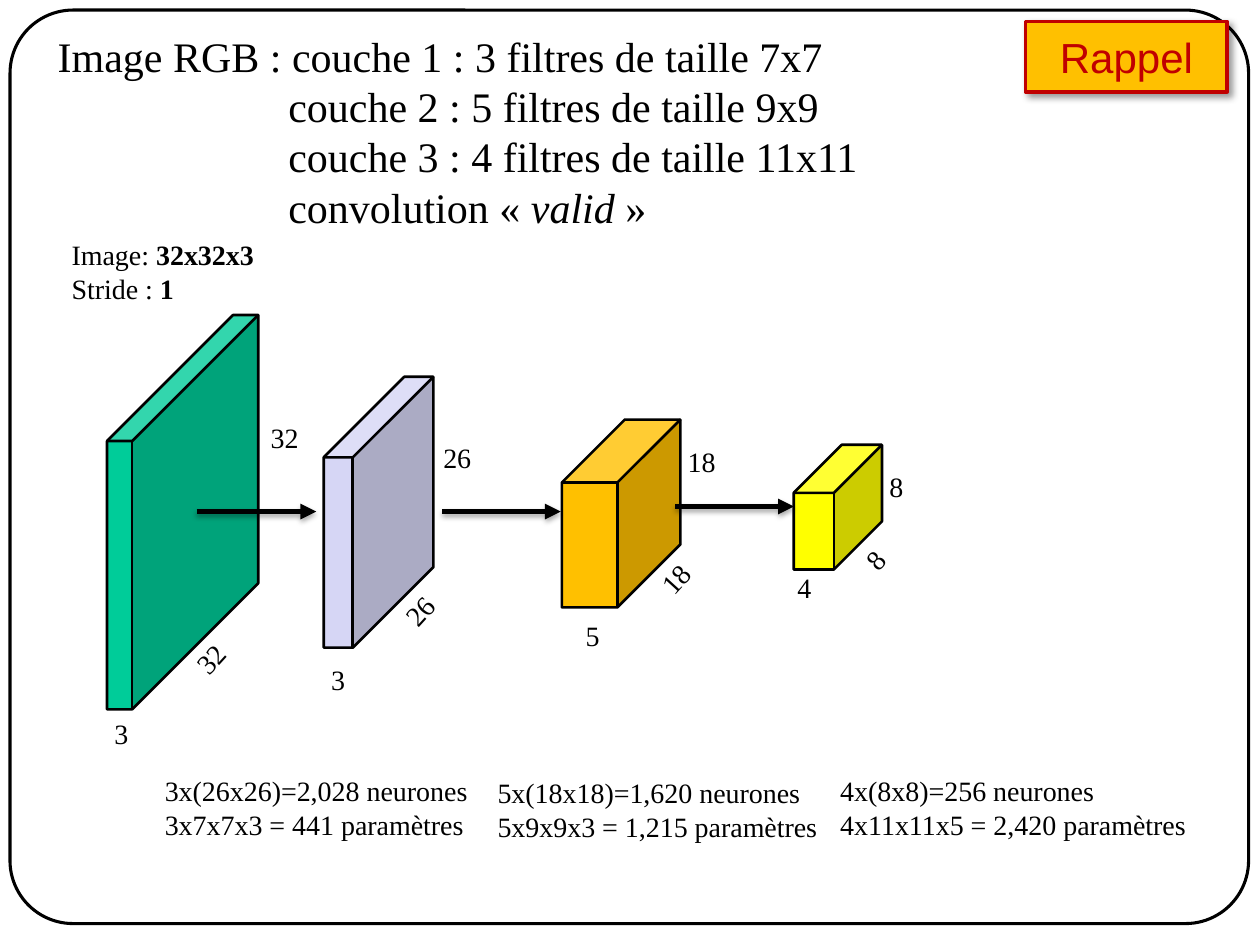
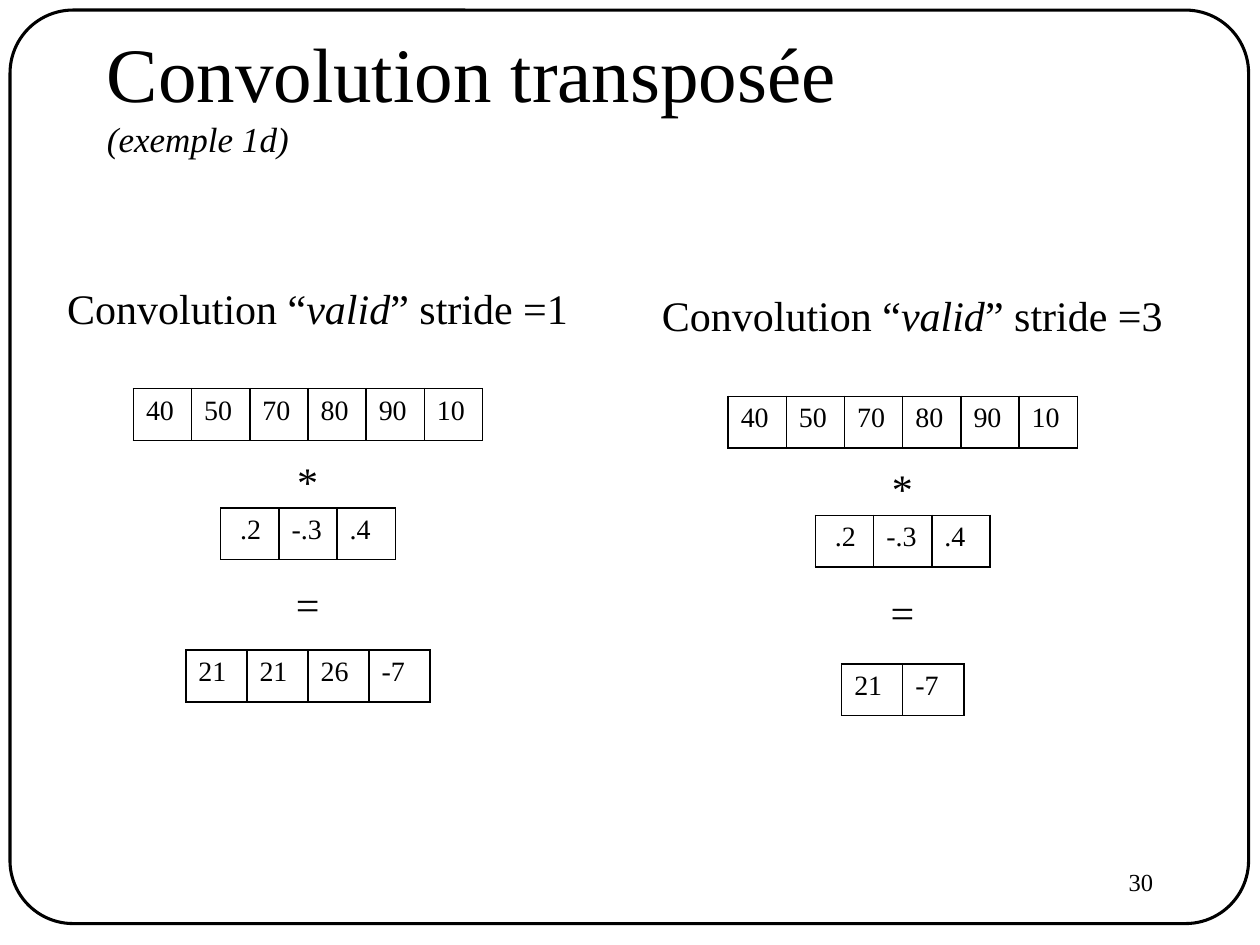
from dataclasses import dataclass
from lxml import etree
from pptx import Presentation, util as u
from pptx.dml.color import RGBColor
from pptx.enum import shapes, text
from pptx.oxml import ns


@dataclass(frozen=True)
class Theme:
    serif: str = "Times New Roman"
    sans: str = "Arial"
    black: str = "000000"
    red: str = "C00000"
    amber: str = "FFC000"
    green: str = "00CC99"
    lilac: str = "D6D6F5"
    yellow: str = "FFFF00"
    title: int = 44
    heading: int = 24
    subtitle: int = 20
    label: int = 16
    number: int = 14


T = Theme()
KIND = shapes.MSO_SHAPE
prs = Presentation()
prs.slide_width, prs.slide_height = u.Inches(10), u.Inches(7.5)
COL, ROW = prs.slide_width / 100, prs.slide_height / 75


def box(s, x, y, w, h, lines=(), size=T.label, kind=None, fill=None, line=T.black,
        weight=1.5, color=T.black, font=T.serif, emphasis="italic", wrap=False):
    place = [round(v) for v in (x * COL, y * ROW, w * COL, h * ROW)]
    if kind is None:
        sp = s.shapes.add_textbox(*place)
    else:
        sp = s.shapes.add_shape(kind, *place)
        sp.shadow.inherit = False
        if fill:
            sp.fill.solid()
            sp.fill.fore_color.rgb = RGBColor.from_string(fill)
        else:
            sp.fill.background()
        sp.line.color.rgb = RGBColor.from_string(line)
        sp.line.width = u.Pt(weight)
    tf = sp.text_frame
    tf.word_wrap = wrap
    for i, content in enumerate(lines):
        p = tf.add_paragraph() if i else tf.paragraphs[0]
        first, *rest = content.split("|")
        p.text = first
        for part in rest:
            p.add_run().text = part
        for j, r in enumerate(p.runs):
            r.font.name, r.font.size = font, u.Pt(size)
            r.font.color.rgb = RGBColor.from_string(color)
            if j % 2:
                setattr(r.font, emphasis, True)
    return sp


def cast_shadow(sp, alpha, blur, dist, angle):
    props = sp.element.spPr
    effects = props.find(ns.qn("a:effectLst"))
    if effects is None:
        effects = etree.SubElement(props, ns.qn("a:effectLst"))
    outer = etree.SubElement(effects, ns.qn("a:outerShdw"), blurRad=str(u.Pt(blur)),
                             dist=str(u.Pt(dist)), dir=str(angle * 60000), rotWithShape="0")
    tone = etree.SubElement(outer, ns.qn("a:srgbClr"), val=T.black)
    etree.SubElement(tone, ns.qn("a:alpha"), val=str(alpha * 1000))


slides = [prs.slides.add_slide(prs.slide_layouts[6]) for _ in range(2)]
for s in slides:
    frame = box(s, 0.8, 0.8, 98.3, 72.5, kind=KIND.ROUNDED_RECTANGLE, weight=1.75)
    frame.adjustments[0] = 0.069

s = slides[0]
intro = box(s, 3.6, 1.9, 96.8, 17.2, [
    "Image RGB : couche 1 : 3 filtres de taille 7x7",
    "couche 2 : 5 filtres de taille 9x9",
    "couche 3 : 4 filtres de taille 11x11",
    "convolution «\u00a0|valid|\u00a0»"], T.heading, wrap=True)
for p in intro.text_frame.paragraphs[1:]:
    props = p._p.get_or_add_pPr()
    props.set("marL", str(round(18.3 * COL)))
    props.set("indent", "0")

volumes = [
    (T.green, (8.5, 25, 12, 31.3), 0.834, "32", (20.5, 32.9), (14.6, 50.4), "3", (8.1, 56.4)),
    (T.lilac, (25.7, 29.9, 8.7, 21.5), 0.735, "26", (34.2, 34.5), (31.2, 46.6), "3", (25.3, 52.1)),
    (T.amber, (44.6, 33.3, 9.4, 14.9), 0.531, "18", (53.6, 34.8), (51.5, 44.1), "5", (45.5, 48.6)),
    (T.yellow, (63, 35.3, 7, 9.9), 0.545, "8", (69.6, 36.8), (67.9, 42.6), "4", (62.3, 44.8)),
]
for fill, place, depth, side, side_at, slant_at, channels, channels_at in volumes:
    cube = box(s, *place, kind=KIND.CUBE, fill=fill)
    cube.adjustments[0] = depth
    side_width = 2 + 1.13 * len(side)
    box(s, *side_at, side_width, 3.7, [side])
    box(s, *slant_at, side_width, 3.7, [side]).rotation = 312.3
    box(s, *channels_at, 3.1, 3.7, [channels])

for x1, x2, y in [(15.6, 25.1, 40.6), (35.1, 44.5, 40.6), (53.6, 63, 40.2)]:
    arrow = s.shapes.add_connector(shapes.MSO_CONNECTOR.STRAIGHT, round(x1 * COL),
                                   round(y * ROW), round(x2 * COL), round(y * ROW))
    arrow.line.color.rgb = RGBColor.from_string(T.black)
    arrow.line.width = u.Pt(3)
    etree.SubElement(arrow.element.spPr.find(ns.qn("a:ln")), ns.qn("a:tailEnd"), type="triangle")
    cast_shadow(arrow, 35, 3.1, 1.8, 90)

box(s, 4.7, 18.4, 16.7, 6.4, ["Image: |32x32x3", "Stride :| 1"], emphasis="bold")
for x, y, w, neurons, weights in [
        (12.1, 60.9, 26.4, "3x(26x26)=2,028 neurones", "3x7x7x3 = 441 paramètres"),
        (38.5, 61.1, 27.8, "5x(18x18)=1,620 neurones", "5x9x9x3 = 1,215 paramètres"),
        (65.7, 60.9, 29.8, "4x(8x8)=256 neurones", "4x11x11x5 = 2,420 paramètres")]:
    box(s, x, y, w, 6.4, [neurons, weights])

badge = box(s, 81.4, 1.7, 16, 5.6, ["Rappel"], T.heading, KIND.RECTANGLE, T.amber,
            T.red, 2, T.red, T.sans, wrap=True)
badge.text_frame.vertical_anchor = text.MSO_ANCHOR.MIDDLE
badge.text_frame.paragraphs[0].alignment = text.PP_ALIGN.CENTER
cast_shadow(badge, 40, 4, 3, 45)

s = slides[1]
title = box(s, 7.5, 1.1, 85, 12.5, ["Convolution transposée\v|(exemple 1d)"], T.title, wrap=True)
title.text_frame.vertical_anchor = text.MSO_ANCHOR.MIDDLE
title.text_frame.paragraphs[0].runs[1].font.size = u.Pt(T.subtitle)
number = box(s, 71.7, 68.3, 20.8, 5, ["30"], T.number, wrap=True)
number.text_frame.paragraphs[0].alignment = text.PP_ALIGN.RIGHT

signal = ["40", "50", "70", "80", "90", "10"]
kernel = [".2", "-.3", ".4"]
for stride, center, top, result_top, result in [
        (1, 24.45, 21.9, 51.6, ["21", "21", "26", "-7"]),
        (3, 71.65, 22.5, 52.7, ["21", "-7"])]:
    box(s, center - 20.1, top, 44.1, 5, [f"Convolution “|valid|” stride ={stride}"],
        T.heading, wrap=True)
    for sign, w, drop in [("*", 3.7, 13.75), ("=", 3.9, 23.55)]:
        box(s, center - w / 2, top + drop, w, 5, [sign], T.heading)
    for values, w, y in [(signal, 4.62, top + 8.95), (kernel, 4.62, top + 18.4),
                         (result, 4.85, result_top)]:
        total = w * len(values)
        table = s.shapes.add_table(1, len(values), round((center - total / 2) * COL),
                                   round(y * ROW), round(total * COL), round(4.1 * ROW)).table
        table.first_row = table.horz_banding = False
        for i, value in enumerate(values):
            table.columns[i].width = round(w * COL)
            cell = table.cell(0, i)
            cell.text = value
            if value == kernel[0]:
                cell.margin_left = round(1.55 * COL)
            r = cell.text_frame.paragraphs[0].runs[0]
            r.font.name, r.font.size = T.serif, u.Pt(T.label)
            r.font.color.rgb = RGBColor.from_string(T.black)
            props = cell._tc.get_or_add_tcPr()
            for edge in ("lnL", "lnR", "lnT", "lnB"):
                ln = etree.SubElement(props, ns.qn(f"a:{edge}"), w=str(u.Pt(1)))
                paint = etree.SubElement(ln, ns.qn("a:solidFill"))
                etree.SubElement(paint, ns.qn("a:srgbClr"), val=T.black)
            cell.fill.background()

prs.save("out.pptx")
